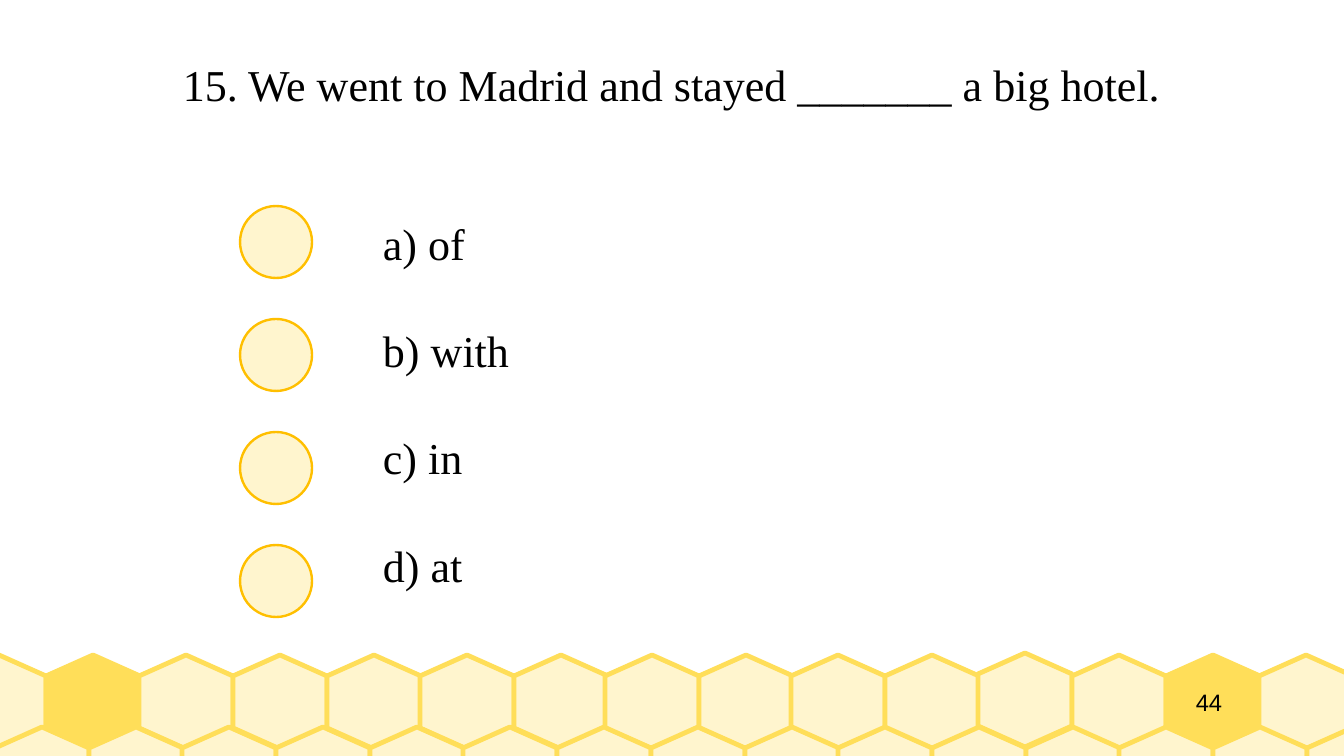
from pptx import Presentation
from pptx.dml.color import RGBColor
from pptx.enum.shapes import MSO_SHAPE as Preset
from pptx.enum.text import MSO_ANCHOR as Anchor, PP_ALIGN as Align
from pptx.util import Pt

PX = 7495
SERIF, SANS = "Times New Roman", "Arial"
BLACK, CREAM, YELLOW, AMBER = "000000", "FFF5CE", "FFDE59", "FFBF00"
HEXAGON = [(47, 0), (0, 21), (0, 73), (47, 94), (94, 73), (94, 21)]
CELL_PITCH = 93.7
UPPER_RUNS = [(-48, 7), (605, 2), (791, 6)]
LOWER_RUNS = [(-5, 15)]
SOLID_CELLS, RAISED_CELL = (1, 13), 11


def px(*lengths):
    """Turn px lengths into EMU."""
    return [length * PX for length in lengths]


def colour(hex_string):
    """Turn a hex string into a colour."""
    return RGBColor.from_string(hex_string)


def style_shape(shape, fill, line, width):
    """Give a shape a flat fill and outline."""
    shape.shadow.inherit = False
    shape.fill.solid()
    shape.fill.fore_color.rgb = colour(fill)
    shape.line.color.rgb = colour(line)
    shape.line.width = Pt(width)


def write_text(shape, lines, size, font, align, anchor, gap=0):
    """Fill a shape with one paragraph per line."""
    frame = shape.text_frame
    frame.word_wrap = True
    frame.vertical_anchor = anchor
    frame.margin_left = frame.margin_right = 0
    frame.margin_top = frame.margin_bottom = 0
    for index, line in enumerate(lines):
        paragraph = frame.add_paragraph() if index else frame.paragraphs[0]
        paragraph.alignment = align
        paragraph.line_spacing = 1.0
        paragraph.space_before = Pt(0)
        paragraph.space_after = Pt(gap)
        run = paragraph.add_run()
        run.text = line
        run.font.size = Pt(size)
        run.font.name = font
        run.font.color.rgb = colour(BLACK)


def add_cell(slide, left, top, fill):
    """Draw one honeycomb cell."""
    points = [(left + x, top + y) for x, y in HEXAGON]
    builder = slide.shapes.build_freeform(*points[0], scale=PX)
    builder.add_line_segments(points[1:], close=True)
    style_shape(builder.convert_to_shape(), fill, YELLOW, 2.83)


def add_honeycomb(slide, top):
    """Draw the two rows of cells along the bottom edge."""
    upper, lower = [
        [start + round(CELL_PITCH * step) for start, count in runs for step in range(count)]
        for runs in (UPPER_RUNS, LOWER_RUNS)
    ]
    for index, left in enumerate(upper):
        lift = 2 if index == RAISED_CELL else 0
        add_cell(slide, left, top - lift, YELLOW if index in SOLID_CELLS else CREAM)
    for left in lower:
        add_cell(slide, left, top + 72, CREAM)


def add_page_number(slide, left, top, width, height, number):
    """Write the page number over its solid cell."""
    box = slide.shapes.add_textbox(*px(left, top, width, height))
    write_text(box, [number], 14, SANS, Align.CENTER, Anchor.MIDDLE)


def add_question(slide, left, top, width, height, question):
    """Place the question in the title placeholder."""
    title = slide.shapes.title
    title.left, title.top, title.width, title.height = px(left, top, width, height)
    write_text(title, [question], 26, SERIF, Align.CENTER, Anchor.MIDDLE)


def add_answers(slide, left, top, width, height, answers):
    """Place the answers and a marker circle for each."""
    box = slide.shapes.add_textbox(*px(left + 143, top + 10, width - 143, height - 10))
    write_text(box, answers, 26, SERIF, Align.LEFT, Anchor.TOP, gap=32.2)
    for index in range(len(answers)):
        circle = slide.shapes.add_shape(Preset.OVAL, *px(left, top + 113 * index, 72, 72))
        style_shape(circle, CREAM, AMBER, 1.42)


def main():
    """Build the quiz slide and save it."""
    presentation = Presentation()
    presentation.slide_width, presentation.slide_height = px(1344, 756)
    slide = presentation.slides.add_slide(presentation.slide_layouts[5])
    add_honeycomb(slide, 655)
    add_page_number(slide, 1133, 655, 152, 94, "44")
    add_question(slide, 72, 22, 1200, 123, "15. We went to Madrid and stayed _______ a big hotel.")
    add_answers(slide, 240, 206, 1056, 411, ["a) of", "b) with", "c) in", "d) at"])
    presentation.save("out.pptx")


if __name__ == "__main__":
    main()
